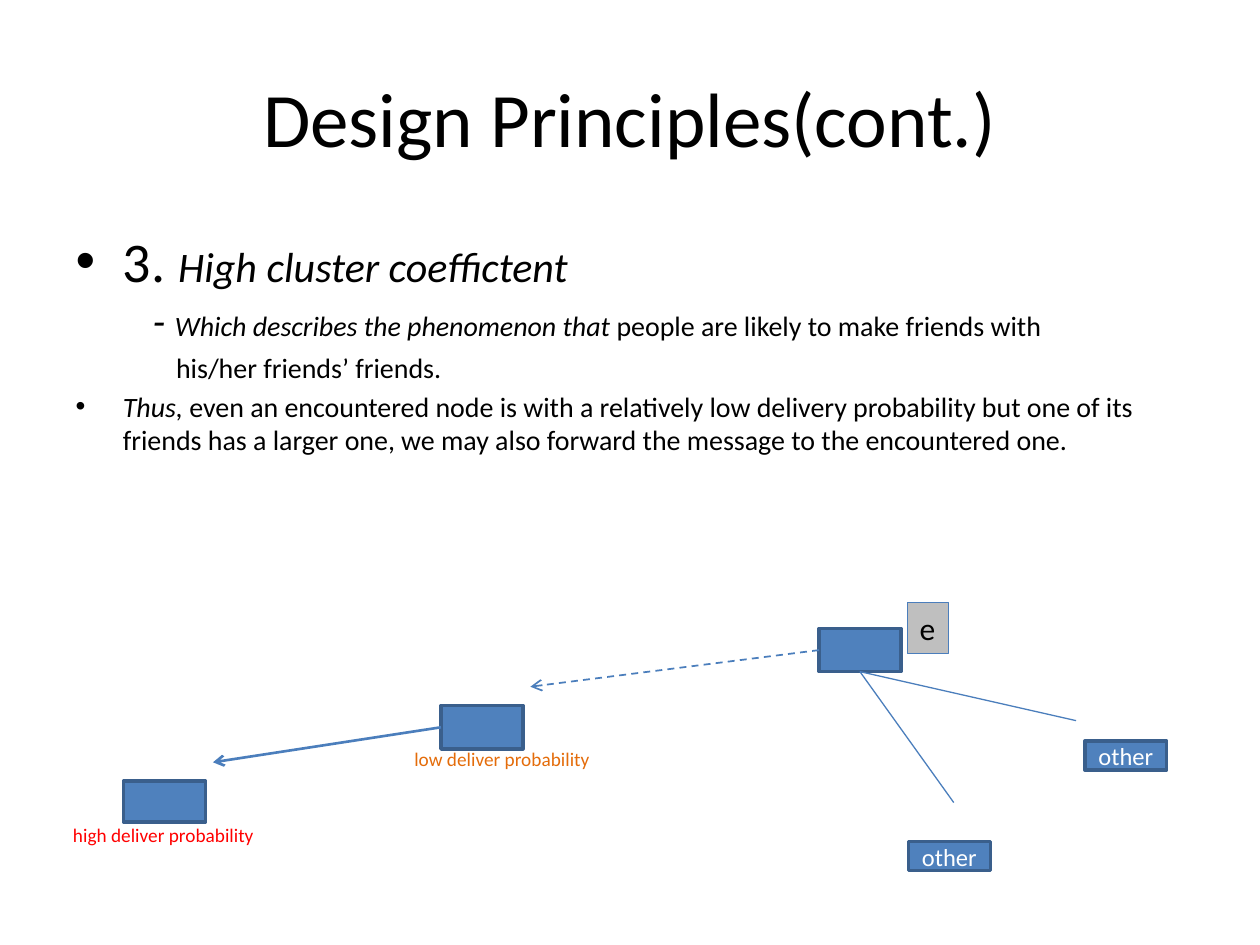
from lxml import etree
from pptx import Presentation
from pptx.dml.color import RGBColor
from pptx.enum.dml import MSO_LINE
from pptx.enum.shapes import MSO_CONNECTOR, MSO_SHAPE
from pptx.enum.text import MSO_ANCHOR, MSO_AUTO_SIZE, PP_ALIGN
from pptx.oxml.ns import qn
from pptx.util import Pt

STRAIGHT = MSO_CONNECTOR.STRAIGHT
RECTANGLE = MSO_SHAPE.RECTANGLE
DASH = MSO_LINE.DASH
MIDDLE = MSO_ANCHOR.MIDDLE
TOP = MSO_ANCHOR.TOP
GROW = MSO_AUTO_SIZE.SHAPE_TO_FIT_TEXT
CENTER = PP_ALIGN.CENTER
LEFT = PP_ALIGN.LEFT

BLACK = "000000"
NODE_FILL = "4F81BD"
NODE_LINE = "3A5F8C"
LINK = "4B7EBC"
LEFT_SIDE, BOTTOM_SIDE = 1, 2
NODE_WIDTH = 46.8


def rgb(value):
    return RGBColor.from_string(value)


class Deck:
    font = "Calibri"

    def __init__(self, slide):
        self.slide = slide

    def style(self, paragraph, size, color=BLACK, align=None):
        paragraph.font.name = self.font
        paragraph.font.size = Pt(size)
        paragraph.font.color.rgb = rgb(color)
        if align is not None:
            paragraph.alignment = align

    def place(self, shape, left, top, width, height):
        shape.left, shape.top = Pt(left), Pt(top)
        shape.width, shape.height = Pt(width), Pt(height)

    def title(self, text, *box):
        title = self.slide.shapes.title
        self.place(title, *box)
        title.text_frame.text = text
        title.text_frame.vertical_anchor = MIDDLE
        self.style(title.text_frame.paragraphs[0], 44, align=CENTER)

    def body(self, paragraphs, *box):
        body = self.slide.placeholders[1]
        self.place(body, *box)
        frame = body.text_frame
        for index, (indent, runs) in enumerate(paragraphs):
            paragraph = frame.add_paragraph() if index else frame.paragraphs[0]
            if indent is not None:
                properties = paragraph._p.get_or_add_pPr()
                properties.set("marL", str(Pt(indent)))
                properties.set("indent", "0")
                etree.SubElement(properties, qn("a:buNone"))
            self.style(paragraph, runs[0][1])
            for text, size, italic in runs:
                run = paragraph.add_run()
                run.text = text
                run.font.size = Pt(size)
                run.font.italic = italic
        return frame

    def box(self, left, top, width, height, fill=NODE_FILL, line=NODE_LINE, weight=2):
        box = self.slide.shapes.add_shape(RECTANGLE, Pt(left), Pt(top), Pt(width), Pt(height))
        box.shadow.inherit = False
        box.fill.solid()
        box.fill.fore_color.rgb = rgb(fill)
        box.line.color.rgb = rgb(line)
        box.line.width = Pt(weight)
        return box

    def caption(self, shape, text, size, color, align=LEFT, anchor=TOP, wrap=False):
        frame = shape.text_frame
        frame.text = text
        frame.word_wrap = wrap
        frame.vertical_anchor = anchor
        if not wrap:
            frame.auto_size = GROW
        self.style(frame.paragraphs[0], size, color, align)

    def label(self, text, color, left, top, width, height):
        label = self.slide.shapes.add_textbox(Pt(left), Pt(top), Pt(width), Pt(height))
        self.caption(label, text, 11, color)

    def link(self, node, side, x, y, weight=0.75, dash=None, arrow=False):
        link = self.slide.shapes.add_connector(STRAIGHT, Pt(0), Pt(0), Pt(x), Pt(y))
        link.begin_connect(node, side)
        link.line.color.rgb = rgb(LINK)
        link.line.width = Pt(weight)
        if dash is not None:
            link.line.dash_style = dash
        properties = link._element.spPr
        if arrow:
            etree.SubElement(properties.find(qn("a:ln")), qn("a:tailEnd"), type="arrow")
        etree.SubElement(properties, qn("a:effectLst"))


def main():
    presentation = Presentation()
    presentation.slide_width, presentation.slide_height = Pt(720), Pt(540)
    deck = Deck(presentation.slides.add_slide(presentation.slide_layouts[1]))

    deck.title("Design Principles(cont.)", 36, 21.6, 648, 90)
    principle = deck.body([
        (None, [("3. ", 32, False), ("High cluster coeffictent", 24, True)]),
        (44, [("- ", 24, True),
              ("Which describes the phenomenon that ", 16, True),
              ("people are likely to make friends with", 16, False)]),
        (57.4, [("his/her friends’ friends.", 16, False)]),
        (None, [("Thus, ", 16, True),
                ("even an encountered node is with a relatively low delivery probability "
                 "but one of its friends has a larger one, we may also forward the message "
                 "to the encountered one.", 16, False)]),
    ], 36, 126, 648, 356.4)
    principle.paragraphs[1].space_before = Pt(0)

    encountered = deck.box(468, 359.2, NODE_WIDTH, 24.6)
    low = deck.box(252, 403.2, NODE_WIDTH, 24.8)
    deck.box(70.6, 446.4, NODE_WIDTH, 23.3)
    deck.link(encountered, LEFT_SIDE, 303.1, 392.4, 1, DASH, True)
    deck.link(low, LEFT_SIDE, 121.7, 435.6, 1.5, arrow=True)

    tag = deck.box(518.4, 344.2, 23.8, 29.1, "BFBFBF", LINK, 0.75)
    deck.caption(tag, "e", 18, BLACK)
    deck.label("low deliver probability", "E46C0A", 229.7, 423.4, 115.2, 20.6)
    deck.label("high deliver probability", "FF0000", 34.6, 466.6, 118.8, 20.6)

    for left, top in ((519.1, 481), (619.9, 423.4)):
        other = deck.box(left, top, NODE_WIDTH, 16.6)
        deck.caption(other, "other", 14, "FFFFFF", CENTER, MIDDLE, True)
    for x, y in ((545, 458.6), (614.9, 411.8)):
        deck.link(encountered, BOTTOM_SIDE, x, y)

    presentation.save("out.pptx")


if __name__ == "__main__":
    main()
